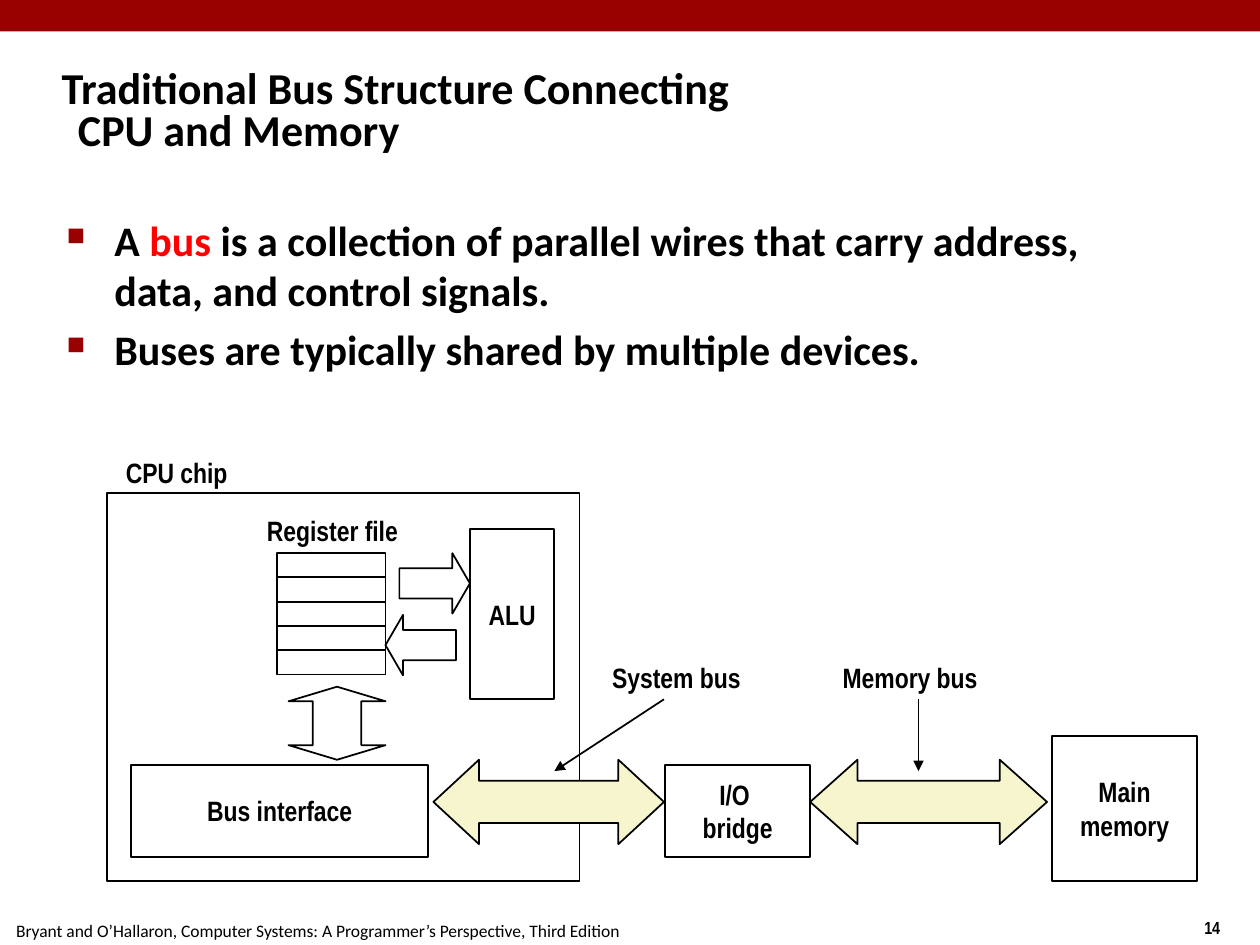
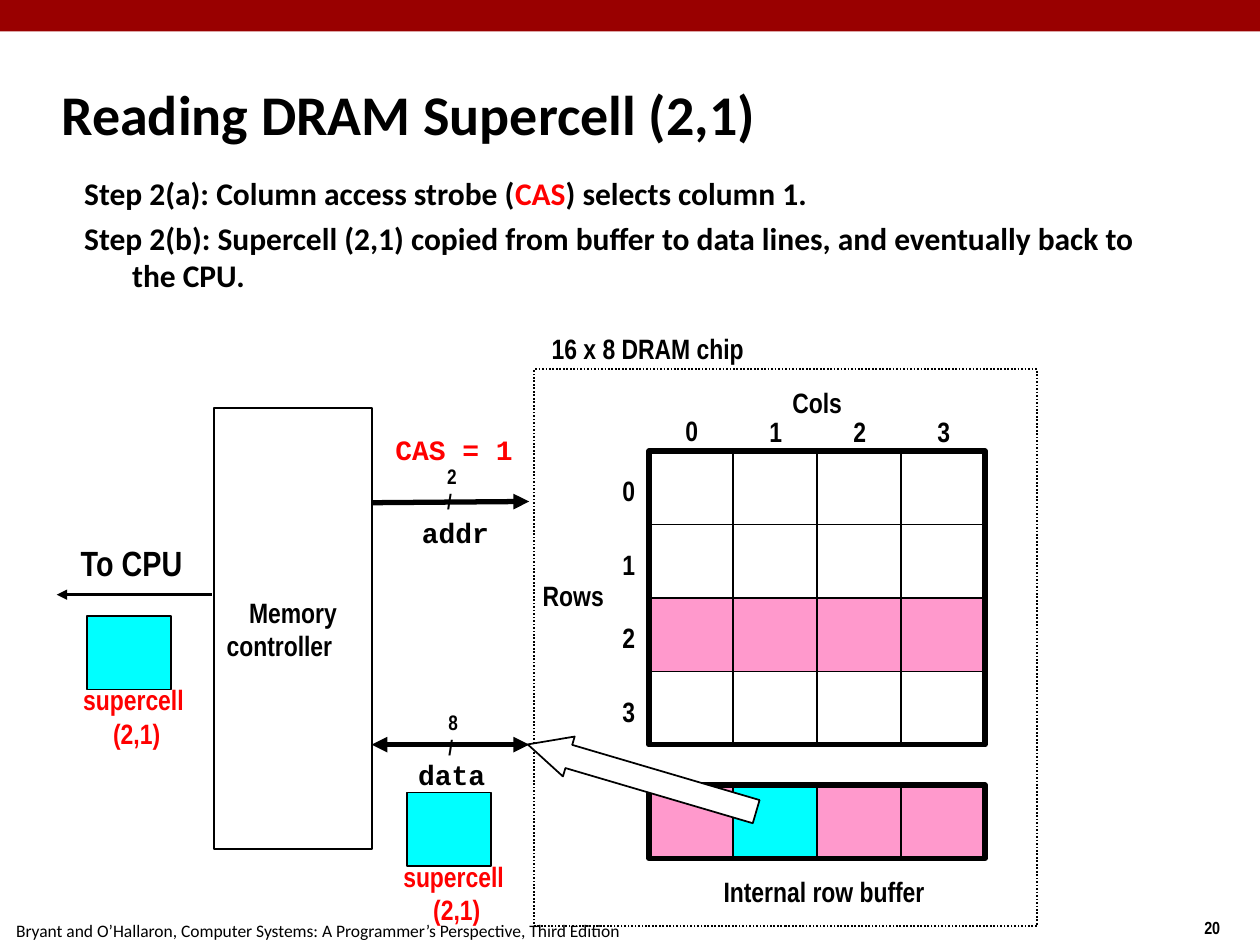
from lxml.etree import SubElement
from pptx import Presentation
from pptx.dml.color import RGBColor
from pptx.enum.dml import MSO_LINE
from pptx.enum.shapes import MSO_CONNECTOR, MSO_SHAPE
from pptx.enum.text import MSO_ANCHOR, MSO_AUTO_SIZE, PP_ALIGN
from pptx.oxml.ns import qn
from pptx.util import Inches, Pt

COLORS = {"black": "000000", "white": "FFFFFF", "band": "990000", "key": "FF0000",
          "bus": "F7F5CD", "row": "FF99CC", "cell": "00FFFF"}
NARROW, SANS, MONO = "Arial Narrow", "Calibri", "Courier New"
FOOTER = "Bryant and O’Hallaron, Computer Systems: A Programmer’s Perspective, Third Edition"
RECT = MSO_SHAPE.RECTANGLE
CENTER, MIDDLE = PP_ALIGN.CENTER, MSO_ANCHOR.MIDDLE

prs = Presentation()
prs.slide_width, prs.slide_height = Inches(10), Inches(7.5)
# All lengths count columns and rows of a 100 by 75 grid
COL, ROW = prs.slide_width / 100, prs.slide_height / 75


def write(tf, paras, size=16, font=NARROW, color="black", bold=True, align=None, anchor=MIDDLE,
          wrap=False, hang=None, before=0, spacing=None, bullet=False):
    """Fill a text frame; a paragraph is a string or a list of (text, color) runs."""
    tf.word_wrap, tf.vertical_anchor = wrap, anchor
    for i, para in enumerate(paras):
        p = tf.paragraphs[0] if i == 0 else tf.add_paragraph()
        p.alignment, p.line_spacing = align, spacing
        if i and before:
            p.space_before = Pt(before)
        pPr = p._p.get_or_add_pPr()
        if hang:
            pPr.set("marL", str(Inches(hang)))
            pPr.set("indent", str(-Inches(hang)))
        if bullet:
            SubElement(SubElement(pPr, qn("a:buClr")), qn("a:srgbClr"), val=COLORS["band"])
            SubElement(pPr, qn("a:buSzPct"), val="60000")
            SubElement(pPr, qn("a:buChar"), char="■")
        for text, run_color in [(para, color)] if isinstance(para, str) else para:
            if text == "\n":
                p.add_line_break()
                continue
            r = p.add_run()
            r.text = text
            r.font.name, r.font.size, r.font.bold = font, Pt(size), bold
            r.font.color.rgb = RGBColor.from_string(COLORS[run_color])


def box(s, x, y, w, h, paras=(), kind=None, fill=None, line=1, adj=(), **fmt):
    """Add a shape, or a text box when no kind is given."""
    at = [round(v) for v in (x * COL, y * ROW, w * COL, h * ROW)]
    if kind is None:
        sp = s.shapes.add_textbox(*at)
        if not fmt.get("wrap"):
            sp.text_frame.auto_size = MSO_AUTO_SIZE.SHAPE_TO_FIT_TEXT
    else:
        sp = s.shapes.add_shape(kind, *at)
        sp.shadow.inherit = False
        if fill:
            sp.fill.solid()
            sp.fill.fore_color.rgb = RGBColor.from_string(COLORS[fill])
        else:
            sp.fill.background()
        if line:
            sp.line.width = Pt(line)
            sp.line.color.rgb = RGBColor.from_string(COLORS["black"])
        else:
            sp.line.fill.background()
        for i, value in enumerate(adj):
            sp.adjustments[i] = value
        fmt.setdefault("align", CENTER)
    if paras:
        write(sp.text_frame, paras, **fmt)
    return sp


# Shared frame: band, page number, footer, title, then the lines of each diagram
frames = [
    ("14", [[("Traditional Bus Structure Connecting", "black"), ("\n", None),
             ("CPU and Memory", "black")]], 96.1, {"size": 25.2, "spacing": 0.8},
     [(52.7, 55.5, 44, 61.2, 1, ["tailEnd"]), (72.9, 55.5, 72.9, 61.2, 1, ["tailEnd"])]),
    ("20", ["Reading DRAM Supercell (2,1)"], 83, {"size": 32},
     [(29.5, 39.9, 42, 39.8, 3, ["tailEnd"]), (29.5, 59.1, 42, 59.1, 3, ["headEnd", "tailEnd"]),
      (16.8, 47.2, 4.5, 47.2, 1.5, ["tailEnd"])]),
]
for number, title, title_w, title_fmt, lines in frames:
    s = prs.slides.add_slide(prs.slide_layouts[6])
    box(s, 0, 0, 100, 2.5, kind=RECT, fill="band", line=None)
    box(s, 94.6, 72.3, 5, 2.7, [number], size=10, anchor=MSO_ANCHOR.TOP)
    box(s, 0.3, 72.5, 52, 2.7, [FOOTER], size=10, font=SANS, bold=False, anchor=MSO_ANCHOR.TOP)
    box(s, 3.9, 4.8, title_w, 8.3, title, font=SANS, wrap=True, hang=0.13, **title_fmt)
    for x1, y1, x2, y2, width, ends in lines:
        c = s.shapes.add_connector(MSO_CONNECTOR.STRAIGHT, round(x1 * COL), round(y1 * ROW),
                                   round(x2 * COL), round(y2 * ROW))
        c.line.width = Pt(width)
        c.line.color.rgb = RGBColor.from_string(COLORS["black"])
        for end in ends:
            SubElement(c.line._get_or_add_ln(), qn("a:" + end), type="triangle")
        SubElement(c._element.spPr, qn("a:effectLst"))

bus_slide, dram_slide = prs.slides
body = {"font": SANS, "wrap": True, "hang": 0.38, "anchor": MSO_ANCHOR.TOP}

# Slide 1: bullets
s = bus_slide
box(s, 4.3, 16.5, 86.4, 54.4, [
    [("A ", "black"), ("bus", "key"),
     (" is a collection of parallel wires that carry address, data, and control signals.", "black")],
    "Buses are typically shared by multiple devices.",
], size=24, before=4.8, bullet=True, **body)

# Components
for x, y, w, h, name in [
    (83.5, 58.4, 11.5, 11.5, ["Main", "memory"]),
    (52.8, 60.7, 11.5, 7.3, ["I/O ", "bridge"]),
    (10.4, 60.7, 23.6, 7.3, ["Bus interface"]),
    (37.3, 42, 6.7, 13.5, ["ALU"]),
    (8.5, 39.1, 37.5, 30.8, []),
]:
    box(s, x, y, w, h, name, kind=RECT)

# Register file
for i in range(5):
    box(s, 22, 43.9 + 1.93 * i, 8.6, 1.93, kind=RECT)

# Buses and data paths; the register path is a double arrow turned upright
for kind, x, y, w, h, fill, adj, turn in [
    (MSO_SHAPE.LEFT_RIGHT_ARROW, 64.3, 60.3, 18.8, 6.7, "bus", (0.5, 0.56), 0),
    (MSO_SHAPE.LEFT_RIGHT_ARROW, 34.4, 60.3, 18.3, 6.7, "bus", (0.5, 0.54), 0),
    (MSO_SHAPE.RIGHT_ARROW, 31.7, 43.9, 5.6, 4.8, None, (0.5, 0.29), 0),
    (MSO_SHAPE.LEFT_ARROW, 30.6, 48.8, 5.6, 4.8, None, (0.5, 0.29), 0),
    (MSO_SHAPE.LEFT_RIGHT_ARROW, 23.85, 53.55, 5.8, 7.7, None, (0.5, 0.2), 90),
]:
    arrow = box(s, x, y, w, h, kind=kind, fill=fill, adj=adj)
    arrow.rotation = turn

# Labels
for x, y, w, name in [(20.2, 40.2, 13.5, "Register file"), (9, 35.6, 11, "CPU chip"),
                      (47.6, 51.9, 13.5, "System bus"), (65.9, 51.9, 14, "Memory bus")]:
    box(s, x, y, w, 3.7, [name])

# Slide 2: steps
s = dram_slide
box(s, 5.7, 13.3, 88.5, 11.7, [
    [("Step 2(a): Column access strobe (", "black"), ("CAS", "key"),
     (") selects column 1.", "black")],
    "Step 2(b): Supercell (2,1) copied from buffer to data lines, and eventually back to the CPU.",
], size=18, before=4, **body)

# DRAM chip: cell array with row and column numbers
CELL_W, CELL_H, LEFT, TOP, BUFFER = 6.67, 5.83, 51.5, 35.8, 62.3
for i in range(4):
    for j in range(4):
        box(s, LEFT + CELL_W * j, TOP + CELL_H * i, CELL_W, CELL_H, kind=RECT,
            fill="row" if i == 2 else "white")
    box(s, 53.4 + CELL_W * i, 32.3 if i == 0 else 32.4, 3.2, 3.7, [str(i)])
    box(s, 48.4, 37.1 + CELL_H * i, 3.2, 3.7, [str(i)])
    box(s, LEFT + CELL_W * i, BUFFER, CELL_W, CELL_H, kind=RECT,
        fill="cell" if i == 1 else "row")
for y, h in [(TOP, 4 * CELL_H), (BUFFER, CELL_H)]:
    box(s, LEFT, y, 4 * CELL_W, h, kind=RECT, line=3)
chip = box(s, 42.4, 29.3, 39.9, 44.2, kind=RECT)
chip.line.dash_style = MSO_LINE.ROUND_DOT

# Memory controller
controller = box(s, 17, 32.4, 12.5, 35, ["Memory", "controller"], kind=RECT, fill="white")
controller.text_frame.paragraphs[1].alignment = PP_ALIGN.LEFT

# Arrow from the row buffer to the data lines
arrow = box(s, 49.3, 52.3, 3.3, 18.9, kind=MSO_SHAPE.DOWN_ARROW, fill="white", adj=(0.58, 1.03))
arrow.rotation = 106.4

# Labels, with room to stay on one line
for x, y, w, name, fmt in [
    (61.9, 30.1, 7.5, "Cols", {}),
    (41.5, 45.4, 8, "Rows", {"align": CENTER}),
    (55.4, 68.9, 20, "Internal row buffer", {"align": CENTER}),
    (42.8, 25.8, 19, "16 x 8 DRAM chip", {}),
    (30.4, 33.8, 12, "CAS = 1", {"font": MONO, "color": "key"}),
    (32.5, 40.4, 8, "addr", {"font": MONO}),
    (32.2, 59.6, 8, "data", {"font": MONO}),
]:
    box(s, x, y, w, 3.7, [name], **fmt)
to_cpu = box(s, 5.9, 42.5, 10, 4.3, ["To CPU"], size=20, anchor=MSO_ANCHOR.TOP)
to_cpu.text_frame.margin_left = to_cpu.text_frame.margin_right = Inches(0.05)

# Bus widths
for x, y, bits in [(34.5, 36.3, "2"), (34.6, 55.8, "8")]:
    box(s, x, y, 3, 5, [bits, "/"], size=12)

# Supercell on its way to the CPU
for x, y in [(32.3, 62.9), (6.9, 48.9)]:
    box(s, x - 1.3, y + 4.8, 10.5, 6.3, ["supercell ", "(2,1)"], color="key", align=CENTER)
    box(s, x, y, CELL_W, CELL_H, kind=RECT, fill="cell")

prs.save("out.pptx")
